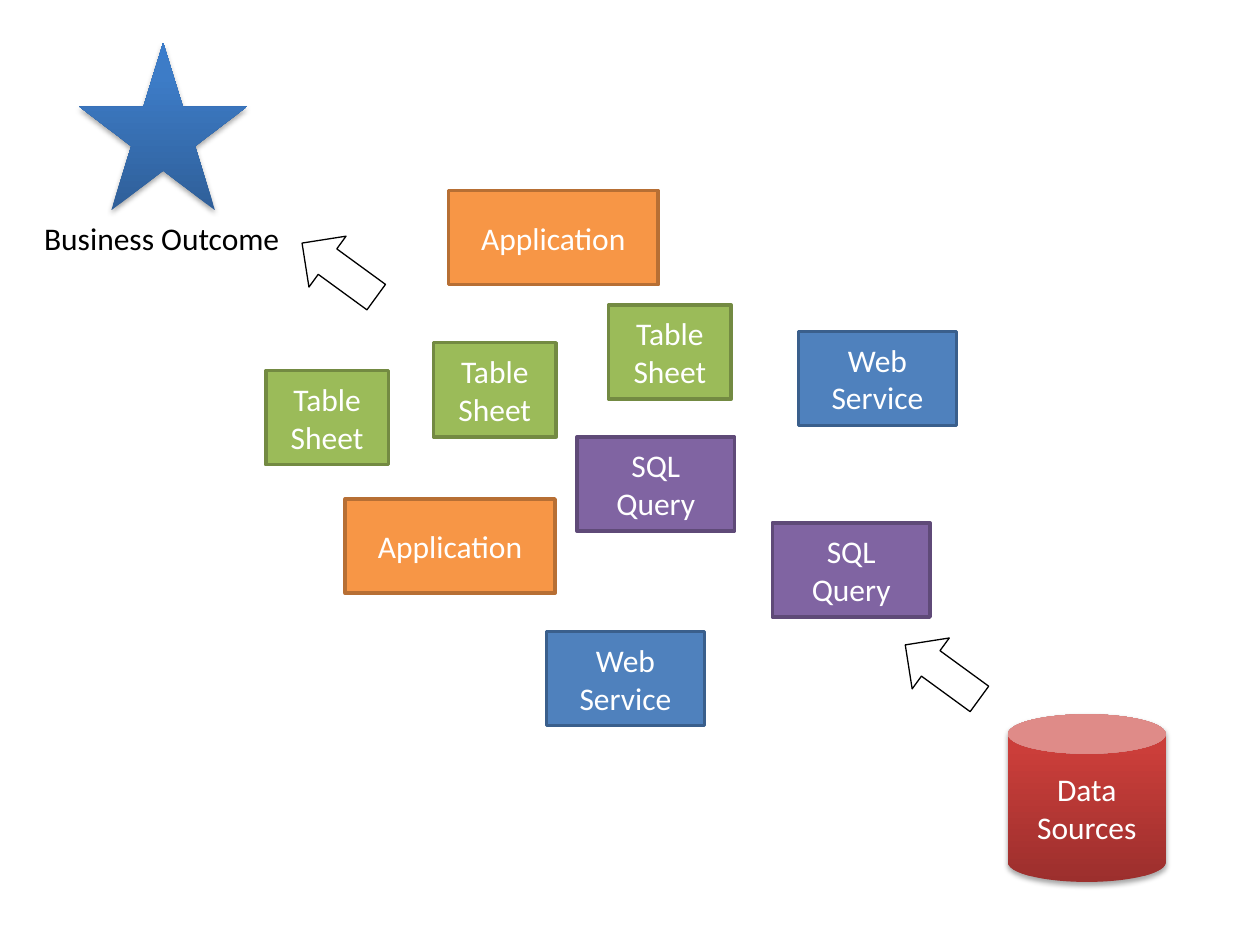
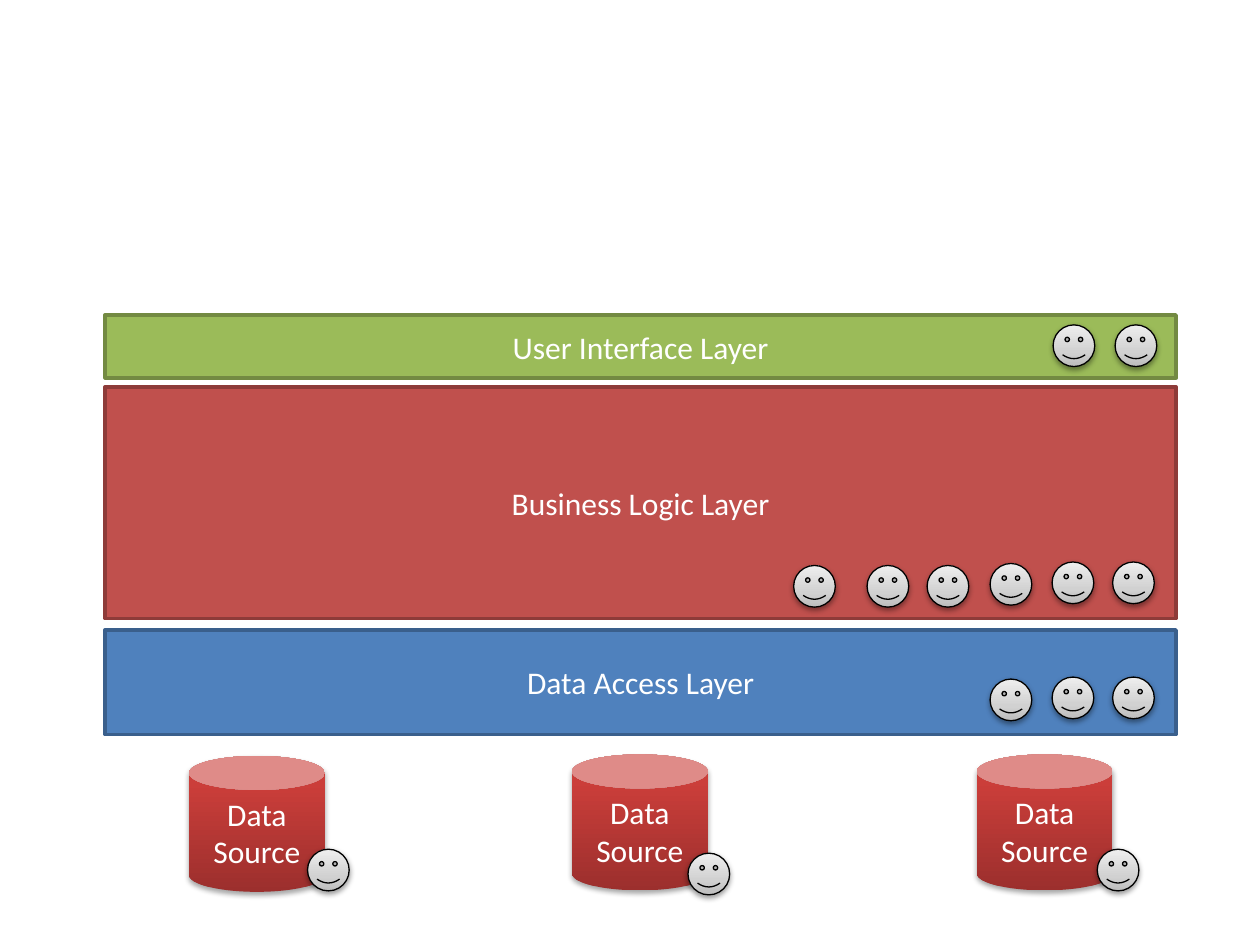
from lxml.etree import SubElement
from pptx import Presentation
from pptx.dml.color import RGBColor
from pptx.enum.shapes import MSO_SHAPE
from pptx.enum.text import MSO_ANCHOR, MSO_AUTO_SIZE, PP_ALIGN
from pptx.oxml.ns import qn
from pptx.util import Cm, Pt

FONT = "Calibri"
COLOURS = {
    "black": "000000", "white": "FFFFFF",
    "orange": "F79646", "orange edge": "B76F34",
    "green": "9BBB59", "green edge": "738A42",
    "blue": "4F81BD", "blue edge": "3A5F8C",
    "purple": "8064A2", "purple edge": "5F4A78",
    "red": "C0504D", "red edge": "8E3B39",
}
GRADIENTS = {
    "red": [(0, "9C2F2D"), (80, "CB3E3A"), (100, "CE3B37")],
    "blue": [(0, "2F5F99"), (80, "3D7CC7"), (100, "3A7CCB")],
    "grey": [(0, "BDBDBD"), (35, "D1D1D1"), (100, "EEEEEE")],
}
BLOCK_HEIGHT = 1.9
BLOCK_KINDS = {
    "Application": (4.23, "orange"),
    "Table Sheet": (2.47, "green"),
    "Web Service": (3.18, "blue"),
    "SQL Query": (3.18, "purple"),
}
BLOCKS = [
    ("Application", 6.96, 10.06), ("Table Sheet", 12.27, 6.15),
    ("Web Service", 11.02, 12.73), ("SQL Query", 11.63, 8.81),
    ("Table Sheet", 5.36, 7.47), ("Application", 9.04, 3.84),
    ("Web Service", 16.1, 6.68), ("SQL Query", 15.57, 10.54),
    ("Table Sheet", 8.74, 6.91),
]
LAYERS = [
    ("Data Access Layer", 12.7, 2.11, "blue"),
    ("Business Logic Layer", 7.8, 4.67, "red"),
    ("User Interface Layer", 6.35, 1.27, "green"),
]
SOURCES = [(11.53, 15.21), (3.81, 15.24), (19.69, 15.21)]
FACES = [
    (22.48, 6.55), (21.23, 6.55),
    (22.43, 11.33), (21.21, 11.33), (19.96, 11.36),
    (18.69, 11.4), (17.48, 11.4), (16, 11.4),
    (22.43, 13.65), (21.21, 13.65), (19.96, 13.69),
    (6.2, 17.12), (13.87, 17.2), (22.12, 17.12),
]


def colour(name):
    return RGBColor.from_string(COLOURS[name])


def write(shape, text, name, align):
    frame = shape.text_frame
    frame.text = text
    para = frame.paragraphs[0]
    para.alignment = align
    for span in para.runs:
        span.font.name = FONT
        span.font.size = Pt(18)
        span.font.color.rgb = colour(name)


def label_inside(shape, text):
    shape.text_frame.word_wrap = True
    shape.text_frame.vertical_anchor = MSO_ANCHOR.MIDDLE
    write(shape, text, "white", PP_ALIGN.CENTER)


def add_shape(shapes, kind, left, top, width, height, edge=None, weight=0.75):
    shape = shapes.add_shape(kind, Cm(left), Cm(top), Cm(width), Cm(height))
    shape.shadow.inherit = False
    if edge:
        shape.line.color.rgb = colour(edge)
        shape.line.width = Pt(weight)
    else:
        shape.line.fill.background()
    return shape


def add_colour(parent, value):
    return SubElement(parent, qn("a:srgbClr"), val=value)


def shade(shape, gradient):
    shape.fill.gradient()
    shape.fill.gradient_angle = 90
    stops = shape.element.spPr.find(".//" + qn("a:gsLst"))
    for stop in list(stops):
        stops.remove(stop)
    for position, value in GRADIENTS[gradient]:
        add_colour(SubElement(stops, qn("a:gs"), pos=str(position * 1000)), value)


def cast_shadow(shape, opacity, distance):
    effects = shape.element.spPr.find(qn("a:effectLst"))
    shadow = SubElement(effects, qn("a:outerShdw"), blurRad=str(Pt(3.1)),
                        dist=str(Pt(distance)), dir="5400000", rotWithShape="0")
    tint = add_colour(shadow, COLOURS["black"])
    SubElement(tint, qn("a:alpha"), val=str(opacity * 1000))


def add_block(page, text, left, top, width, height, name):
    block = add_shape(page.shapes, MSO_SHAPE.RECTANGLE, left, top, width, height,
                      name + " edge", 2)
    block.fill.solid()
    block.fill.fore_color.rgb = colour(name)
    label_inside(block, text)


def add_database(page, text, left, top, width, height):
    database = add_shape(page.shapes, MSO_SHAPE.CAN, left, top, width, height)
    shade(database, "red")
    cast_shadow(database, 35, 1.8)
    label_inside(database, text)


def add_face(page, left, top):
    face = add_shape(page.shapes, MSO_SHAPE.SMILEY_FACE, left, top, 0.84, 0.84, "black")
    shade(face, "grey")
    cast_shadow(face, 38, 1.6)


def add_arrow(page, left, top):
    arrow = add_shape(page.shapes, MSO_SHAPE.DOWN_ARROW, left, top, 1.27, 1.85, "black")
    arrow.fill.background()
    arrow.rotation = 126.1


def add_outcome(page):
    group = page.shapes.add_group_shape()
    star = add_shape(group.shapes, MSO_SHAPE.STAR_5_POINT, 1.6, 0.86, 3.38, 3.38)
    shade(star, "blue")
    cast_shadow(star, 35, 1.8)
    box = group.shapes.add_textbox(Cm(0.64), Cm(4.29), Cm(5.31), Cm(1.02))
    box.text_frame.word_wrap = False
    box.text_frame.auto_size = MSO_AUTO_SIZE.SHAPE_TO_FIT_TEXT
    write(box, "Business Outcome", "black", PP_ALIGN.LEFT)


def build_scattered_page(page):
    add_database(page, "Data Sources", 20.32, 14.4, 3.18, 3.38)
    add_outcome(page)
    add_arrow(page, 6.2, 4.52)
    add_arrow(page, 18.36, 12.62)
    for text, left, top in BLOCKS:
        width, name = BLOCK_KINDS[text]
        add_block(page, text, left, top, width, BLOCK_HEIGHT, name)


def build_layered_page(page):
    for text, top, height, name in LAYERS:
        add_block(page, text, 2.12, top, 21.59, height, name)
    for left, top in SOURCES:
        add_database(page, "Data Source", left, top, 2.74, 2.74)
    for left, top in FACES:
        add_face(page, left, top)


def main():
    deck = Presentation()
    deck.slide_width = Cm(25.4)
    deck.slide_height = Cm(19.05)
    blank = deck.slide_layouts[6]
    for build in (build_scattered_page, build_layered_page):
        build(deck.slides.add_slide(blank))
    deck.save("out.pptx")


main()
